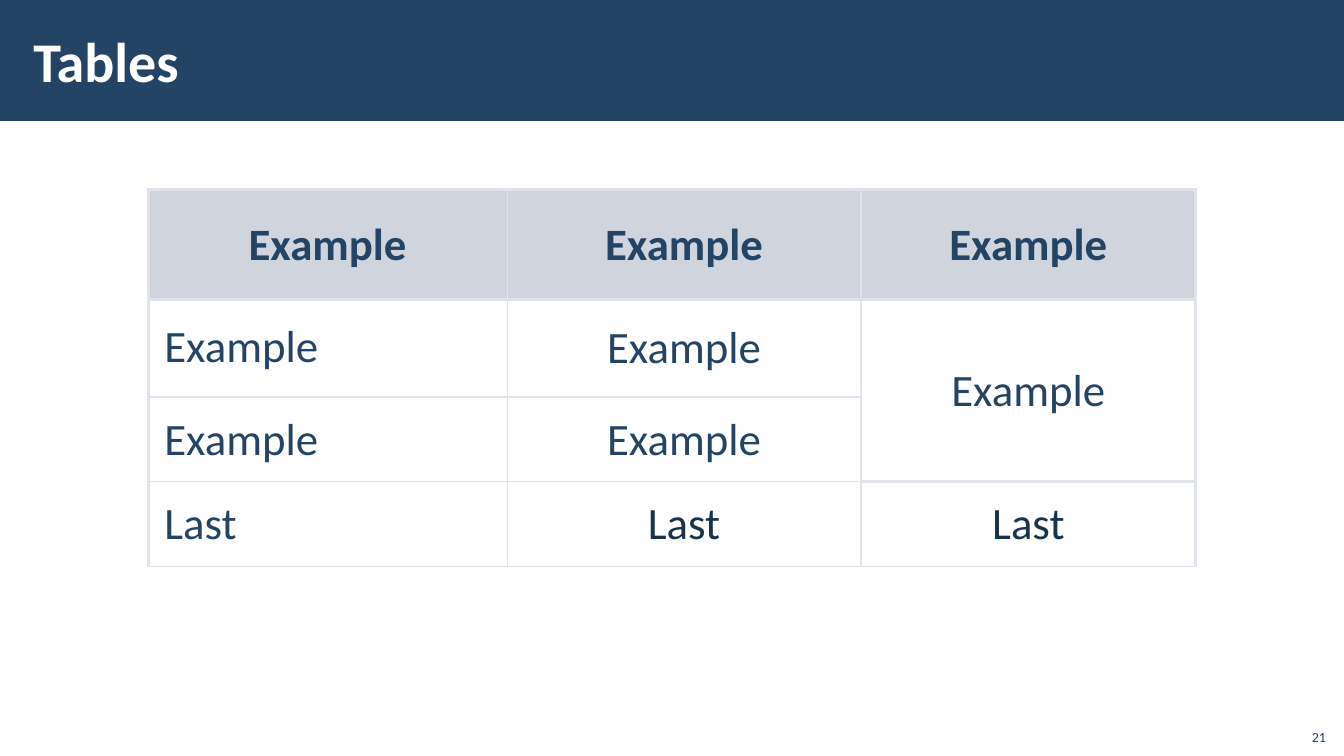
from lxml.etree import SubElement
from pptx import Presentation
from pptx.dml.color import RGBColor
from pptx.enum.shapes import MSO_SHAPE
from pptx.enum.text import MSO_ANCHOR, PP_ALIGN
from pptx.oxml import parse_xml
from pptx.oxml.ns import nsdecls, qn
from pptx.util import Inches, Pt

NAVY, INK, WHITE = "234465", "1A334C", "FFFFFF"
HEADER, RULE = "A3ABBC", "E0E3E9"
ROWS = [
    ["Example", "Example", "Example"],
    ["Example", "Example", "Example"],
    ["Example", "Example", None],
    ["Last", "Last", "Last"],
]
COLUMN_WIDTHS = [3.56, 3.51, 3.32]
ROW_HEIGHTS = [1.09, 0.97, 0.84, 0.84]
# Line widths in points, from left to right and from top to bottom
VERTICAL_RULES = [2.25, 1, 2.25, 2.25]
HORIZONTAL_RULES = [2.25, 2.25, 1, 1, 1]
LAST_COLUMN_RULES = [2.25, 2.25, 2.25, 2.25, 1]


def color(value):
    return RGBColor.from_string(value)


def style(para, size, value, bold=False, align=PP_ALIGN.LEFT):
    para.alignment = align
    para.font.name = "Calibri"
    para.font.size = Pt(size)
    para.font.bold = bold
    para.font.color.rgb = color(value)


def set_margins(target, side, end):
    target.margin_left = target.margin_right = Inches(side)
    target.margin_top = target.margin_bottom = Inches(end)


def add_header(page, left, top, width, height):
    # Band behind the title
    band = page.shapes.add_shape(MSO_SHAPE.RECTANGLE, Inches(left), Inches(top),
                                 Inches(width), Inches(height))
    band.shadow.inherit = False
    band.fill.solid()
    band.fill.fore_color.rgb = color(NAVY)
    band.line.fill.background()
    page.shapes._spTree.insert(2, band._element)

    # Title
    title = page.shapes.title
    title.left, title.top = Inches(left + 0.21), Inches(top + 0.11)
    title.width, title.height = Inches(10.63), Inches(0.97)
    frame = title.text_frame
    frame.text = "Tables"
    frame.vertical_anchor = MSO_ANCHOR.MIDDLE
    set_margins(frame, 0.12, 0.04)
    style(frame.paragraphs[0], 40, WHITE, bold=True)


def set_borders(cell, row, column):
    across = LAST_COLUMN_RULES if column == 2 else HORIZONTAL_RULES
    widths = {"L": VERTICAL_RULES[column], "R": VERTICAL_RULES[column + 1],
              "T": across[row], "B": across[row + 1]}
    properties = cell._tc.get_or_add_tcPr()
    for index, (side, width) in enumerate(widths.items()):
        properties.insert(index, parse_xml(
            f'<a:ln{side} {nsdecls("a")} w="{Pt(width)}"><a:solidFill>'
            f'<a:srgbClr val="{RULE}"/></a:solidFill></a:ln{side}>'))


def fill_cell(cell, row, column):
    if row == 0:
        cell.fill.solid()
        cell.fill.fore_color.rgb = color(HEADER)
        swatch = cell._tc.tcPr.find(".//" + qn("a:srgbClr"))
        SubElement(swatch, qn("a:alpha")).set("val", "50000")
    else:
        cell.fill.background()
    set_borders(cell, row, column)


def write_cell(cell, text, row, column):
    cell.text = text
    cell.vertical_anchor = MSO_ANCHOR.MIDDLE
    set_margins(cell, 0.16, 0.05)
    para = cell.text_frame.paragraphs[0]
    para.line_spacing = 0.95
    centered = row == 0 or column > 0
    style(para, 32, INK if row == 3 and column > 0 else NAVY, bold=row == 0,
          align=PP_ALIGN.CENTER if centered else PP_ALIGN.LEFT)
    if (row, column) == (1, 0):
        para.line_spacing = Pt(38)
        para.space_before = para.space_after = Pt(6)


def add_example_table(page, left, top):
    table = page.shapes.add_table(
        len(ROWS), len(COLUMN_WIDTHS), Inches(left), Inches(top),
        Inches(sum(COLUMN_WIDTHS)), Inches(sum(ROW_HEIGHTS))).table
    table.first_row = table.horz_banding = False
    for column, width in zip(table.columns, COLUMN_WIDTHS):
        column.width = Inches(width)
    for row, height in zip(table.rows, ROW_HEIGHTS):
        row.height = Inches(height)
    table.cell(1, 2).merge(table.cell(2, 2))
    for row, texts in enumerate(ROWS):
        for column, text in enumerate(texts):
            cell = table.cell(row, column)
            fill_cell(cell, row, column)
            if text:
                write_cell(cell, text, row, column)


def add_page_number(page, left, top, width, height):
    box = page.shapes.add_textbox(Inches(left), Inches(top), Inches(width), Inches(height))
    frame = box.text_frame
    frame.word_wrap = True
    frame.vertical_anchor = MSO_ANCHOR.BOTTOM
    set_margins(frame, 0.1, 0.05)
    frame.text = "21"
    style(frame.paragraphs[0], 10, NAVY, align=PP_ALIGN.RIGHT)


def main():
    deck = Presentation()
    deck.slide_width, deck.slide_height = Inches(13.33), Inches(7.5)
    page = deck.slides.add_slide(deck.slide_layouts[5])
    add_header(page, 0, 0, 13.33, 1.2)
    add_page_number(page, 12.85, 7.12, 0.4, 0.32)
    add_example_table(page, 1.47, 1.88)
    deck.save("out.pptx")


if __name__ == "__main__":
    main()
